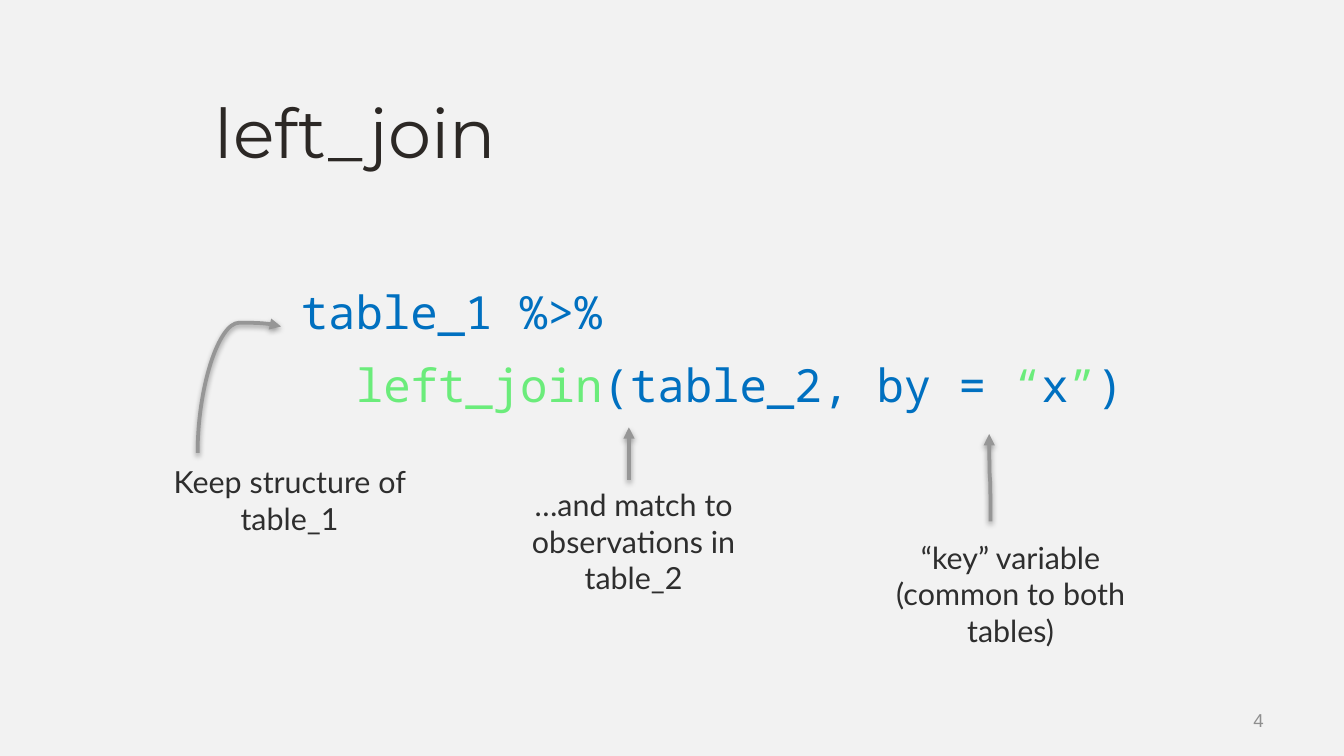
import pptx
import pptx.util
import pptx.dml.color
import pptx.enum.shapes
import pptx.enum.text
import pptx.oxml
import pptx.oxml.ns

Inches = pptx.util.Inches
Pt = pptx.util.Pt
RGBColor = pptx.dml.color.RGBColor
ALIGN = pptx.enum.text.PP_ALIGN
ANCHOR = pptx.enum.text.MSO_ANCHOR

BACKGROUND = RGBColor(0xF2, 0xF2, 0xF2)
TITLE = RGBColor(0x2C, 0x28, 0x25)
CODE = RGBColor(0x00, 0x70, 0xC0)
ACCENT = RGBColor(0x6B, 0xEC, 0x7B)
CAPTION = RGBColor(0x2E, 0x2E, 0x2E)
NUMBER = RGBColor(0x8F, 0x8F, 0x8F)
ARROW = RGBColor(0x96, 0x96, 0x96)

SHADOW = (
    '<a:effectLst %s><a:outerShdw blurRad="39400" dist="20300" dir="5400000" '
    'rotWithShape="0"><a:srgbClr val="000000"><a:alpha val="38000"/></a:srgbClr>'
    '</a:outerShdw></a:effectLst>' % pptx.oxml.ns.nsdecls("a")
)
TRIANGLE = '<a:tailEnd %s type="triangle"/>' % pptx.oxml.ns.nsdecls("a")


def add_box(s, box, anchor=ANCHOR.TOP):
    sp = s.shapes.add_textbox(*[Inches(v) for v in box])
    tf = sp.text_frame
    tf.word_wrap = True
    tf.vertical_anchor = anchor
    return tf


def add_run(p, text, size, font, color):
    r = p.add_run()
    r.text = text
    r.font.size = Pt(size)
    r.font.name = font
    r.font.color.rgb = color


def add_title(s, box, text):
    tf = add_box(s, box, ANCHOR.BOTTOM)
    tf.margin_left = tf.margin_right = Inches(0.08)
    tf.margin_top = tf.margin_bottom = Inches(0.08)
    add_run(tf.paragraphs[0], text, 36.7, "Montserrat", TITLE)


def add_code(s, box, lines):
    tf = add_box(s, box)
    tf.margin_top = Inches(0.51)
    for i, (indent, parts) in enumerate(lines):
        p = tf.add_paragraph() if i else tf.paragraphs[0]
        p.line_spacing = 1.2
        p.space_after = Pt(4)
        pPr = p._p.get_or_add_pPr()
        pPr.set("marL", str(Inches(indent)))
        pPr.set("indent", "0")
        for text, color in parts:
            add_run(p, text, 24.5, "Noto Sans Mono", color)


def add_caption(s, box, text):
    p = add_box(s, box).paragraphs[0]
    p.alignment = ALIGN.CENTER
    add_run(p, text, 16.3, "Lato", CAPTION)


def add_number(s, box, text):
    p = add_box(s, box, ANCHOR.MIDDLE).paragraphs[0]
    p.alignment = ALIGN.RIGHT
    add_run(p, text, 10, "Arial", NUMBER)


def add_arrow(s, begin, end, angle, bend):
    (x1, y1), (x2, y2) = begin, end
    cx, cy = (x1 + x2) / 2, (y1 + y2) / 2
    turn = 1 if angle == 90 else -1
    dx, dy = turn * (y1 - cy), turn * (cx - x1)
    cxn = s.shapes.add_connector(
        pptx.enum.shapes.MSO_CONNECTOR.CURVE,
        Inches(cx + dx), Inches(cy + dy), Inches(cx - dx), Inches(cy - dy))
    cxn.line.color.rgb = ARROW
    cxn.line.width = Pt(2)
    spPr = cxn._element.spPr
    spPr.find(pptx.oxml.ns.qn("a:xfrm")).set("rot", str(angle * 60000))
    guides = spPr.find(pptx.oxml.ns.qn("a:prstGeom")).get_or_add_avLst()
    guides.append(pptx.oxml.parse_xml(
        '<a:gd %s name="adj1" fmla="val %d"/>' % (pptx.oxml.ns.nsdecls("a"), bend * 100000)))
    spPr.find(pptx.oxml.ns.qn("a:ln")).append(pptx.oxml.parse_xml(TRIANGLE))
    spPr.append(pptx.oxml.parse_xml(SHADOW))


prs = pptx.Presentation()
prs.slide_width = Inches(10)
prs.slide_height = Inches(10 * 9 / 16)
s = prs.slides.add_slide(prs.slide_layouts[6])
s.background.fill.solid()
s.background.fill.fore_color.rgb = BACKGROUND

add_title(s, (1.52, 0.82, 6.96, 0.54), "left_join")
add_code(s, (1.2, 1.52, 7.6, 3.7), [
    (0.94, [("table_1 %>%", CODE)]),
    (1.35, [("left_join", ACCENT), ("(table_2, by = ", CODE), ("\u201c", ACCENT),
            ("x", CODE), ("\u201d", ACCENT), (")", CODE)]),
])
add_number(s, (8.49, 5.21, 1.01, 0.3), "4")

for box, text in [
    ((6.55, 3.96, 1.94, 0.92), "\u201ckey\u201d variable (common to both tables)"),
    ((1.06, 3.4, 2.19, 0.65), "Keep structure of table_1"),
    ((3.76, 3.57, 1.91, 1.2), "\u2026and match to observations in table_2"),
]:
    add_caption(s, box, text)

for begin, end, angle, bend in [
    ((7.37, 3.88), (7.36, 3.23), 270, 0.5),
    ((4.68, 3.57), (4.68, 3.18), 270, 0.5),
    ((1.47, 3.37), (2.09, 2.43), 90, 1.03),
]:
    add_arrow(s, begin, end, angle, bend)

prs.save("out.pptx")
